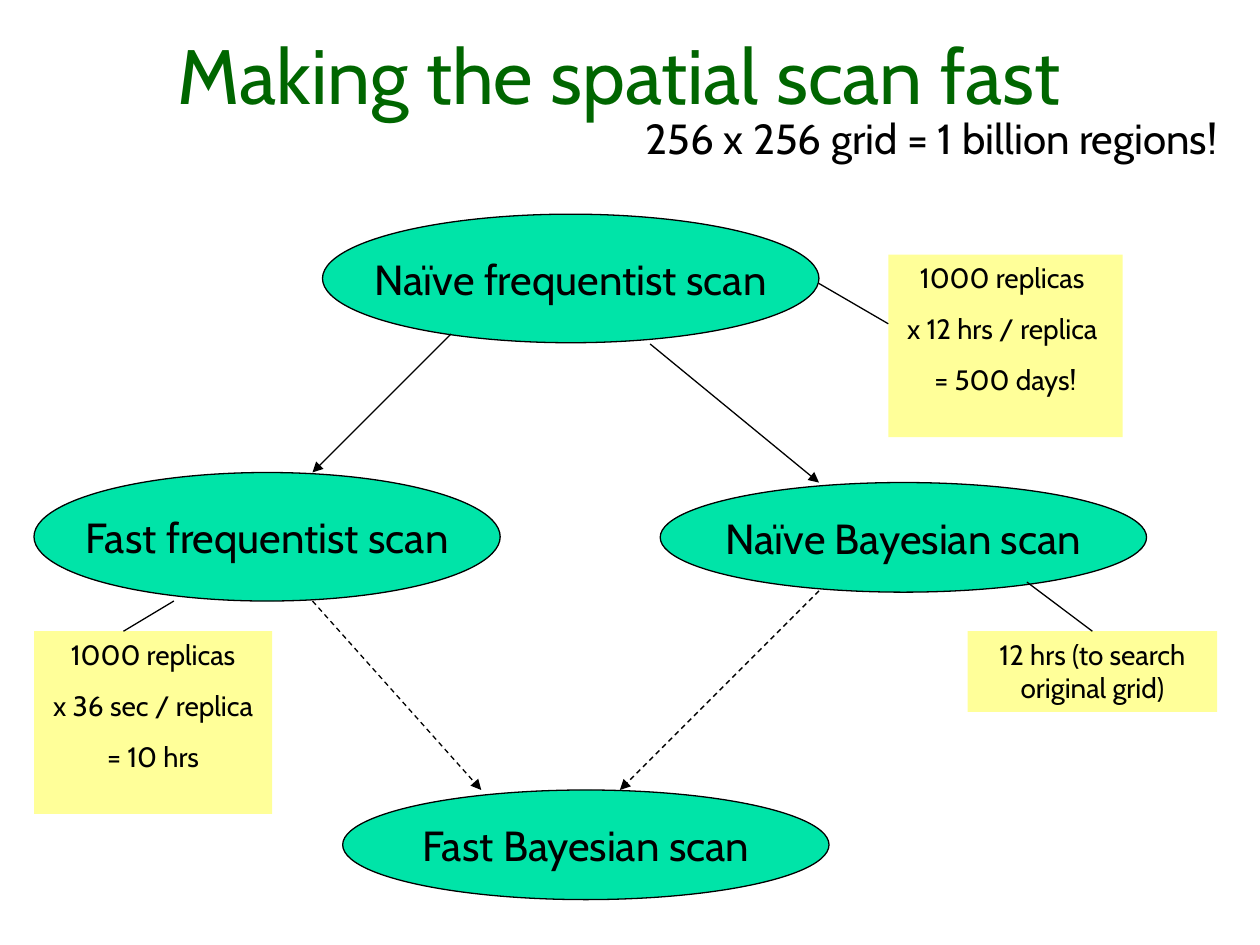
from lxml import etree
from pptx import Presentation
from pptx.dml.color import RGBColor
from pptx.enum.dml import MSO_LINE
from pptx.enum.shapes import MSO_CONNECTOR, MSO_SHAPE
from pptx.enum.text import MSO_ANCHOR, MSO_AUTO_SIZE, PP_ALIGN
from pptx.oxml.ns import qn
from pptx.util import Inches, Pt

OVAL, RECT = MSO_SHAPE.OVAL, MSO_SHAPE.RECTANGLE
STRAIGHT, DASH = MSO_CONNECTOR.STRAIGHT, MSO_LINE.DASH
TOP, MIDDLE, BOTTOM = MSO_ANCHOR.TOP, MSO_ANCHOR.MIDDLE, MSO_ANCHOR.BOTTOM
CENTER, NO_FIT = PP_ALIGN.CENTER, MSO_AUTO_SIZE.NONE

# Grid of 100 columns and 75 rows
CELL = Inches(0.1)
BLACK, GREEN, MINT, YELLOW = "000000", "006600", "00E4A8", "FFFF99"


def rgb(hex_color):
    return RGBColor.from_string(hex_color)


def write(shape, text, size, color=BLACK, anchor=TOP, wrap=True, gap=0):
    frame = shape.text_frame
    frame.auto_size = NO_FIT
    frame.word_wrap = wrap
    frame.vertical_anchor = anchor
    frame.text = text
    for i, paragraph in enumerate(frame.paragraphs):
        paragraph.alignment = CENTER
        paragraph.space_before = Pt(gap if i else 0)
        paragraph.font.name = "Cabin"
        paragraph.font.size = Pt(size)
        paragraph.font.color.rgb = rgb(color)


prs = Presentation()
prs.slide_width, prs.slide_height = 100 * CELL, 75 * CELL
slide = prs.slides.add_slide(prs.slide_layouts[5])
shapes = slide.shapes

# Title and grid size
title = shapes.title
title.left, title.top, title.width, title.height = [
    round(v * CELL) for v in (2.5, 1.7, 93.3, 8.3)]
write(title, "Making the spatial scan fast", 44, color=GREEN, anchor=BOTTOM)

grid_size = shapes.add_textbox(*[round(v * CELL) for v in (47.1, 8.4, 53.7, 5)])
write(grid_size, "256 x 256 grid = 1 billion regions!", 24, wrap=False)

# Scan methods: left, top, width, height
scans = [
    ("Naïve frequentist scan", (25.6, 17, 39.4, 10.2)),
    ("Fast frequentist scan", (2.7, 37.5, 37, 10.2)),
    ("Naïve Bayesian scan", (52.4, 38.3, 38.6, 8.7)),
    ("Fast Bayesian scan", (27.2, 62.7, 38.6, 8.7)),
]
for label, box in scans:
    scan = shapes.add_shape(OVAL, *[round(v * CELL) for v in box])
    scan.shadow.inherit = False
    scan.fill.solid()
    scan.fill.fore_color.rgb = rgb(MINT)
    scan.line.color.rgb = rgb(BLACK)
    scan.line.width = Pt(0.75)
    write(scan, label, 24, anchor=MIDDLE, wrap=False)

# Run times
run_times = [
    ("1000 replicas \nx 12 hrs / replica \n= 500 days!", (70.5, 20.2, 18.6, 14.5)),
    ("1000 replicas\nx 36 sec / replica\n= 10 hrs", (2.7, 50.1, 18.9, 14.5)),
    ("12 hrs (to search original grid)", (76.8, 50.1, 19.8, 6.4)),
]
for label, box in run_times:
    run_time = shapes.add_shape(RECT, *[round(v * CELL) for v in box])
    run_time.shadow.inherit = False
    run_time.fill.solid()
    run_time.fill.fore_color.rgb = rgb(YELLOW)
    run_time.line.fill.background()
    write(run_time, label, 16, gap=10)
search_time = run_time

# Links: start and end point, arrowhead, dash, box joined at its top
links = [
    ((65, 22.5, 70.5, 25.7), False, None, None),
    ((13.8, 47.7, 9.8, 50.1), False, None, None),
    ((81.5, 46.2, 86.7, 50.1), False, None, search_time),
    ((35.8, 26.5, 24.8, 37.5), True, None, None),
    ((51.6, 27.3, 65, 38.3), True, None, None),
    ((24.8, 47.7, 38.2, 62.7), True, DASH, None),
    ((65, 46.9, 49.2, 62.7), True, DASH, None),
]
for points, arrow, dash, target in links:
    link = shapes.add_connector(STRAIGHT, *[round(v * CELL) for v in points])
    link.line.color.rgb = rgb(BLACK)
    link.line.width = Pt(0.75)
    if dash:
        link.line.dash_style = dash
    if arrow:
        etree.SubElement(link.line._get_or_add_ln(), qn("a:tailEnd"), type="triangle")
    if target:
        link.end_connect(target, 0)
    etree.SubElement(link._element.spPr, qn("a:effectLst"))

prs.save("out.pptx")
